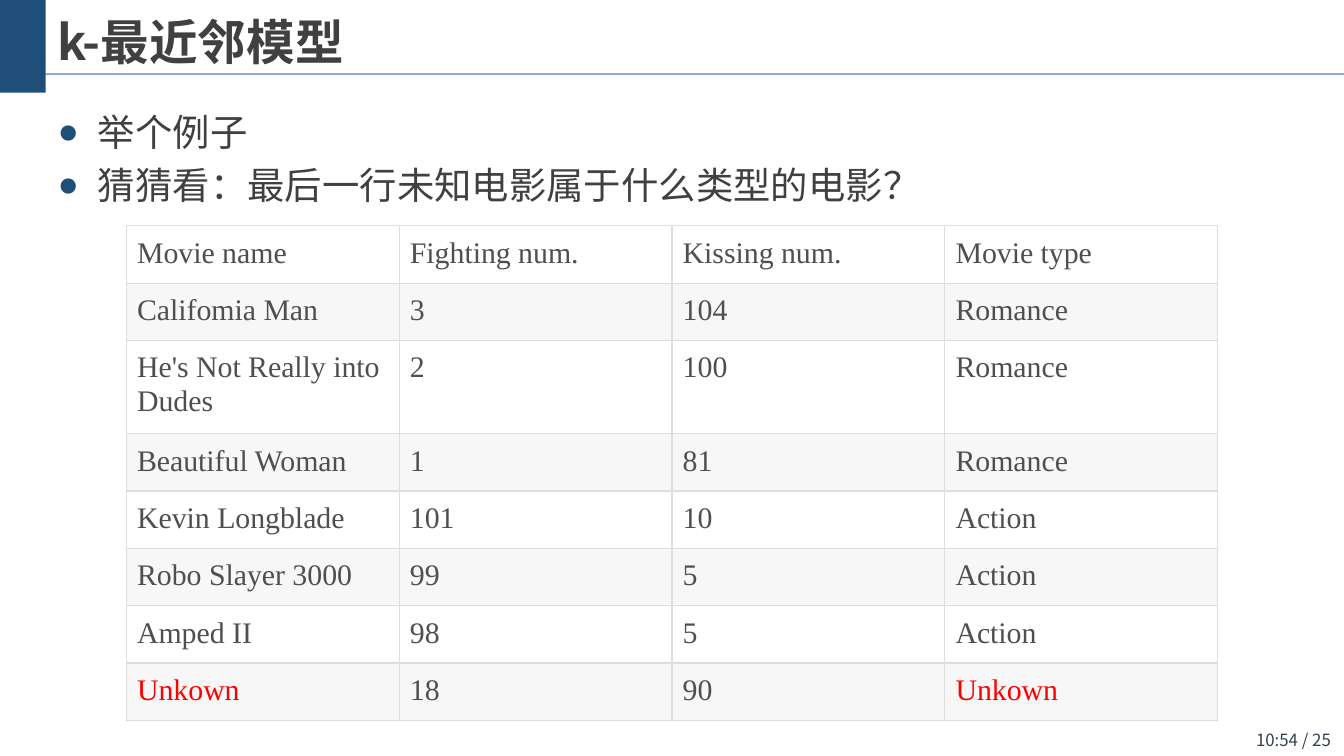
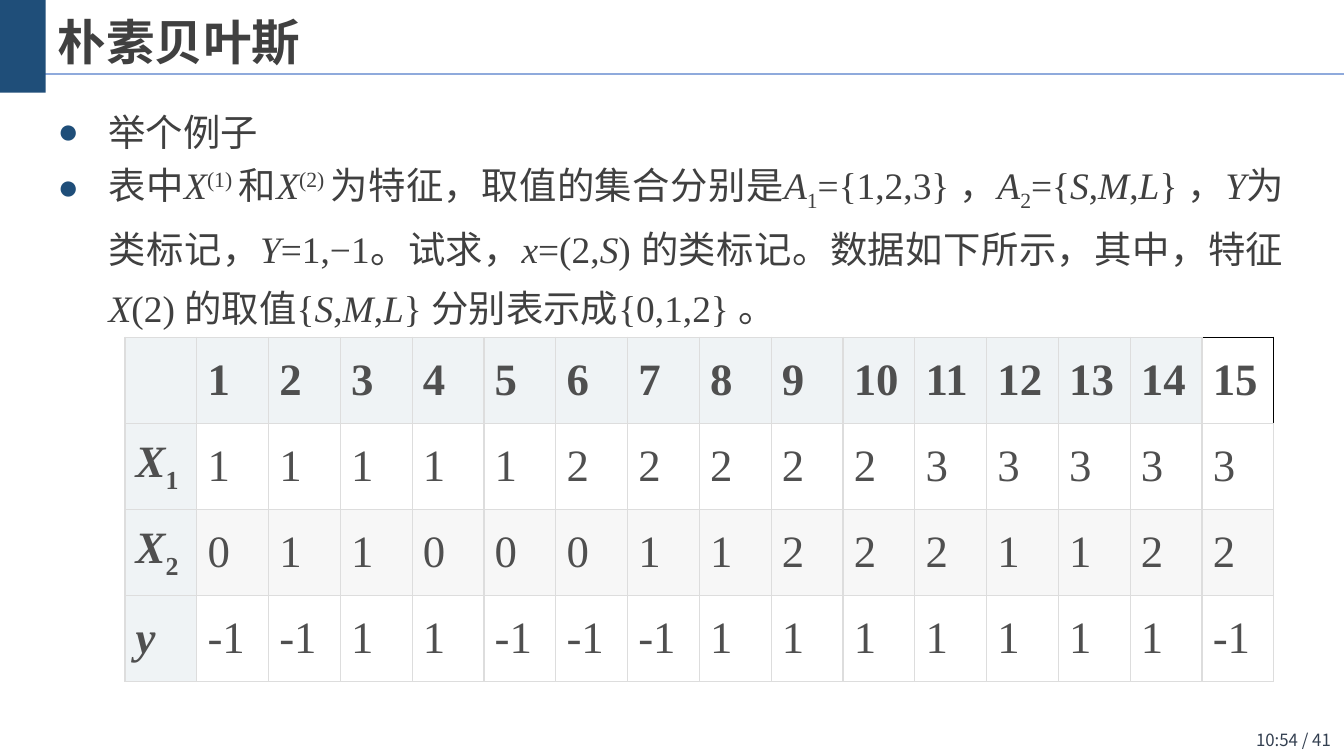
from lxml.etree import SubElement
from pptx import Presentation
from pptx.dml.color import RGBColor
from pptx.enum.shapes import MSO_CONNECTOR, MSO_SHAPE
from pptx.enum.text import MSO_ANCHOR, PP_ALIGN
from pptx.oxml import parse_xml
from pptx.oxml.ns import nsdecls, qn
from pptx.util import Inches, Pt

NAVY = RGBColor(0x1F, 0x4E, 0x79)
RULE_BLUE = RGBColor(0x8F, 0xAA, 0xDC)
FOOTER_SLATE = RGBColor(0x33, 0x3F, 0x50)
TEXT_GRAY = RGBColor(0x40, 0x40, 0x40)
CELL_GRAY = RGBColor(0x4F, 0x4F, 0x4F)
BORDER_GRAY = RGBColor(0xDD, 0xDD, 0xDD)
STRIPE = RGBColor(0xF7, 0xF7, 0xF7)
HEADER_FILL = RGBColor(0xEF, 0xF3, 0xF5)
WHITE = RGBColor(0xFF, 0xFF, 0xFF)
BLACK = RGBColor(0, 0, 0)
RED = RGBColor(0xFF, 0, 0)
SANS = "Noto Sans CJK SC"
SERIF = "Times New Roman"

STYLES = {
    "plain": {},
    "bold": {"bold": True},
    "italic": {"italic": True},
    "symbol": {"bold": True, "italic": True},
    "super": {"baseline": 30000},
    "sub": {"baseline": -25000},
    "index": {"bold": True, "baseline": -25000},
}


def add_span(para, text, font, size, color, style="plain"):
    span = para.add_run()
    span.text = text
    span.font.name = font
    span.font.size = Pt(size)
    span.font.color.rgb = color
    properties = span._r.get_or_add_rPr()
    SubElement(properties, qn("a:ea")).set("typeface", SANS)
    for name, value in STYLES[style].items():
        if name == "baseline":
            properties.set(name, str(value))
        else:
            setattr(span.font, name, value)


def style_cell(cell, fill, borders):
    for side in ("left", "right", "top", "bottom"):
        setattr(cell, f"margin_{side}", Inches(0.08))
    if fill is None:
        cell.fill.background()
    else:
        cell.fill.solid()
        cell.fill.fore_color.rgb = fill
    properties = cell._tc.get_or_add_tcPr()
    for position, side in enumerate("LRTB"):
        color = borders.get(side, BORDER_GRAY)
        properties.insert(position, parse_xml(
            f'<a:ln{side} {nsdecls("a")} w="9525"><a:solidFill>'
            f'<a:srgbClr val="{color}"/></a:solidFill></a:ln{side}>'))


MOVIES = [
    ["Movie name", "Fighting num.", "Kissing num.", "Movie type"],
    ["Califomia Man", "3", "104", "Romance"],
    ["He's Not Really into Dudes", "2", "100", "Romance"],
    ["Beautiful Woman", "1", "81", "Romance"],
    ["Kevin Longblade", "101", "10", "Action"],
    ["Robo Slayer 3000", "99", "5", "Action"],
    ["Amped II", "98", "5", "Action"],
    ["Unkown", "18", "90", "Unkown"],
]
SAMPLES = [
    [("X", "1"), [1, 1, 1, 1, 1, 2, 2, 2, 2, 2, 3, 3, 3, 3, 3]],
    [("X", "2"), [0, 1, 1, 0, 0, 0, 1, 1, 2, 2, 2, 1, 1, 2, 2]],
    [("y", ""), [-1, -1, 1, 1, -1, -1, -1, 1, 1, 1, 1, 1, 1, 1, -1]],
]
EXAMPLE = [("举个例子", "plain")]
GUESS = [("猜猜看：最后一行未知电影属于什么类型的电影？", "plain")]
LEVELS = [("S", "italic"), (",", "plain"), ("M", "italic"),
          (",", "plain"), ("L", "italic")]
FEATURES = [
    ("表中", "plain"), ("X", "italic"), ("(1) ", "super"),
    ("和", "plain"), ("X", "italic"), ("(2) ", "super"),
    ("为特征，取值的集合分别是", "plain"), ("A", "italic"), ("1", "sub"),
    ("={1,2,3} ，", "plain"), ("A", "italic"), ("2", "sub"), ("={", "plain"),
    *LEVELS, ("} ，", "plain"), ("Y", "italic"), ("为类标记，", "plain"),
    ("Y", "italic"), ("=1,−1。试求，", "plain"), ("x", "italic"),
    ("=(2,", "plain"), ("S", "italic"),
    (") 的类标记。数据如下所示，其中，特征", "plain"), ("X", "italic"),
    ("(2) 的取值{", "plain"), *LEVELS, ("} 分别表示成{0,1,2} 。", "plain"),
]
PAGES = [
    {"title": "k-最近邻模型", "footer": "10:54 / 25", "font": SANS,
     "align": PP_ALIGN.LEFT, "indent": 0.3,
     "bullets": [(EXAMPLE, 28.4), (GUESS, 28.4)]},
    {"title": "朴素贝叶斯", "footer": "10:54 / 41", "font": SERIF,
     "align": PP_ALIGN.JUSTIFY, "indent": 0.38,
     "bullets": [(EXAMPLE, 28.4), (FEATURES, 31.5)]},
]

deck = Presentation()
deck.slide_width = Inches(10)
deck.slide_height = Inches(10) * 9 // 16
pages = []

for content in PAGES:
    page = deck.slides.add_slide(deck.slide_layouts[6])
    pages.append(page)

    rule = page.shapes.add_connector(
        MSO_CONNECTOR.STRAIGHT, 0, Inches(0.55), Inches(10), Inches(0.55))
    rule.line.color.rgb = RULE_BLUE
    rule.line.width = Pt(0.75)
    SubElement(rule._element.spPr, qn("a:effectLst"))

    band = page.shapes.add_shape(
        MSO_SHAPE.RECTANGLE, 0, 0, Inches(0.34), Inches(0.69))
    band.shadow.inherit = False
    band.fill.solid()
    band.fill.fore_color.rgb = NAVY
    band.line.fill.background()

    footer = page.shapes.add_textbox(
        Inches(9.07), Inches(5.38), Inches(0.93), Inches(0.25)).text_frame
    footer.word_wrap = True
    footer.vertical_anchor = MSO_ANCHOR.MIDDLE
    footer.paragraphs[0].alignment = PP_ALIGN.RIGHT
    add_span(footer.paragraphs[0], content["footer"], SANS, 9, FOOTER_SLATE)

    title = page.shapes.add_textbox(
        Inches(0.33), Inches(0.07), Inches(5.57), Inches(0.5)).text_frame
    title.word_wrap = True
    title.vertical_anchor = MSO_ANCHOR.BOTTOM
    add_span(title.paragraphs[0], content["title"], SANS, 26, TEXT_GRAY, "bold")

    body = page.shapes.add_textbox(
        Inches(0.33), Inches(0.68), Inches(9.32), Inches(4.51)).text_frame
    body.word_wrap = True
    body.margin_top = Inches(0.07)
    for number, (spans, spacing) in enumerate(content["bullets"]):
        para = body.add_paragraph() if number else body.paragraphs[0]
        para.alignment = content["align"]
        para.line_spacing = Pt(spacing)
        properties = para._p.get_or_add_pPr()
        indent = Inches(content["indent"])
        properties.set("marL", str(indent))
        properties.set("indent", str(-indent))
        bullet_color = SubElement(properties, qn("a:buClr"))
        SubElement(bullet_color, qn("a:srgbClr")).set("val", str(NAVY))
        SubElement(properties, qn("a:buSzPct")).set("val", "95000")
        SubElement(properties, qn("a:buFont")).set("typeface", SERIF)
        SubElement(properties, qn("a:buChar")).set("char", "●")
        for text, style in spans:
            add_span(para, text, content["font"], 20, TEXT_GRAY, style)

movie_page, sample_page = pages

movie_frame = movie_page.shapes.add_table(
    8, 4, Inches(0.94), Inches(1.68), Inches(8.12), Inches(3.73))
movie_table = movie_frame.table
sample_table = sample_page.shapes.add_table(
    4, 16, Inches(0.93), Inches(2.51), Inches(8.55), Inches(2.56)).table
for table in (movie_table, sample_table):
    table.first_row = False
    table.horz_banding = False

for row, values in enumerate(MOVIES):
    movie_table.rows[row].height = 0
    for column, value in enumerate(values):
        cell = movie_table.cell(row, column)
        style_cell(cell, STRIPE if row % 2 else WHITE, {})
        color = RED if value == "Unkown" else CELL_GRAY
        add_span(cell.text_frame.paragraphs[0], value, SERIF, 16, color)
movie_frame.height = Inches(3.73)

for row in range(4):
    for column in range(16):
        cell = sample_table.cell(row, column)
        cell.vertical_anchor = MSO_ANCHOR.MIDDLE
        para = cell.text_frame.paragraphs[0]
        fill = STRIPE if row == 2 else WHITE
        borders = {}
        spans = []
        if row == 0 or column == 0:
            fill = HEADER_FILL
        if row == 0 and column == 15:
            fill = None
            borders = {"R": BLACK, "T": BLACK}
        if row == 0 and column:
            spans = [(str(column), "bold")]
        elif row and column == 0:
            symbol, index = SAMPLES[row - 1][0]
            spans = [(symbol, "symbol")]
            if index:
                spans.append((index, "index"))
        elif row:
            spans = [(str(SAMPLES[row - 1][1][column - 1]), "plain")]
        style_cell(cell, fill, borders)
        for text, style in spans:
            add_span(para, text, SERIF, 24, CELL_GRAY, style)

deck.save("out.pptx")
